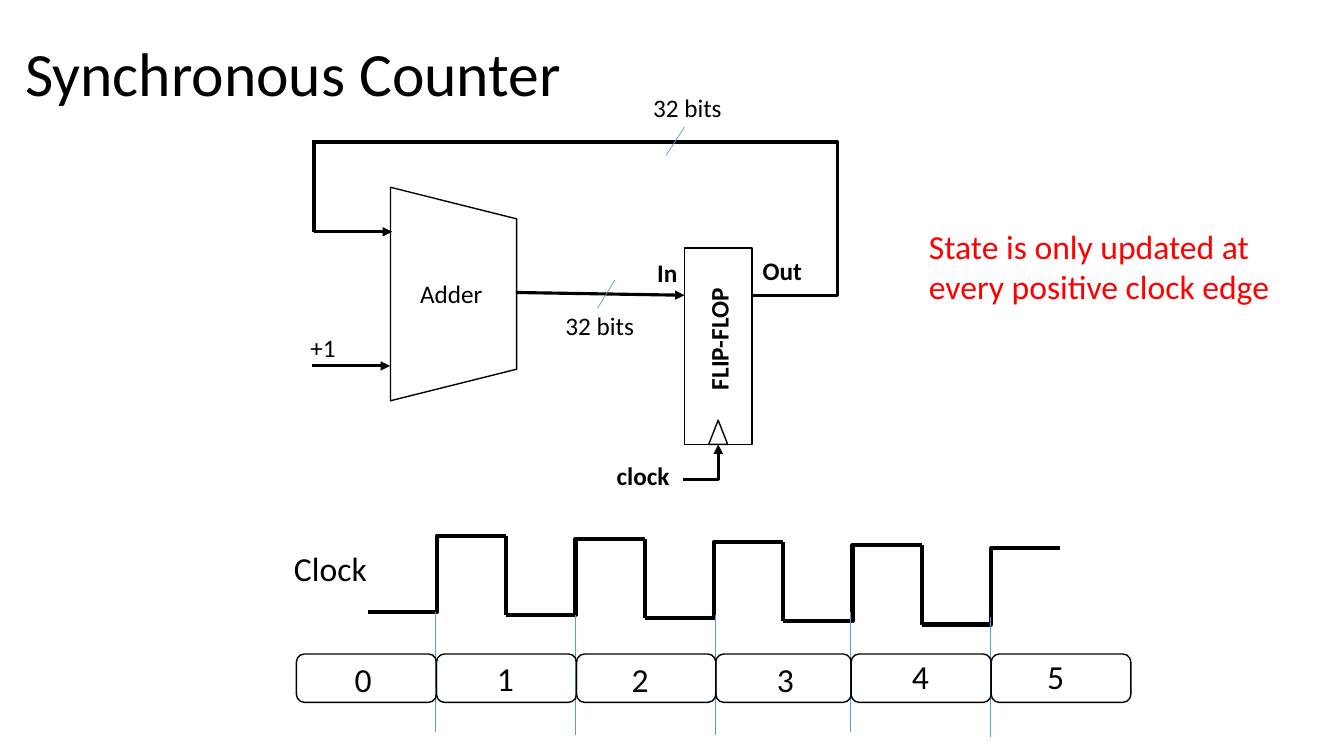
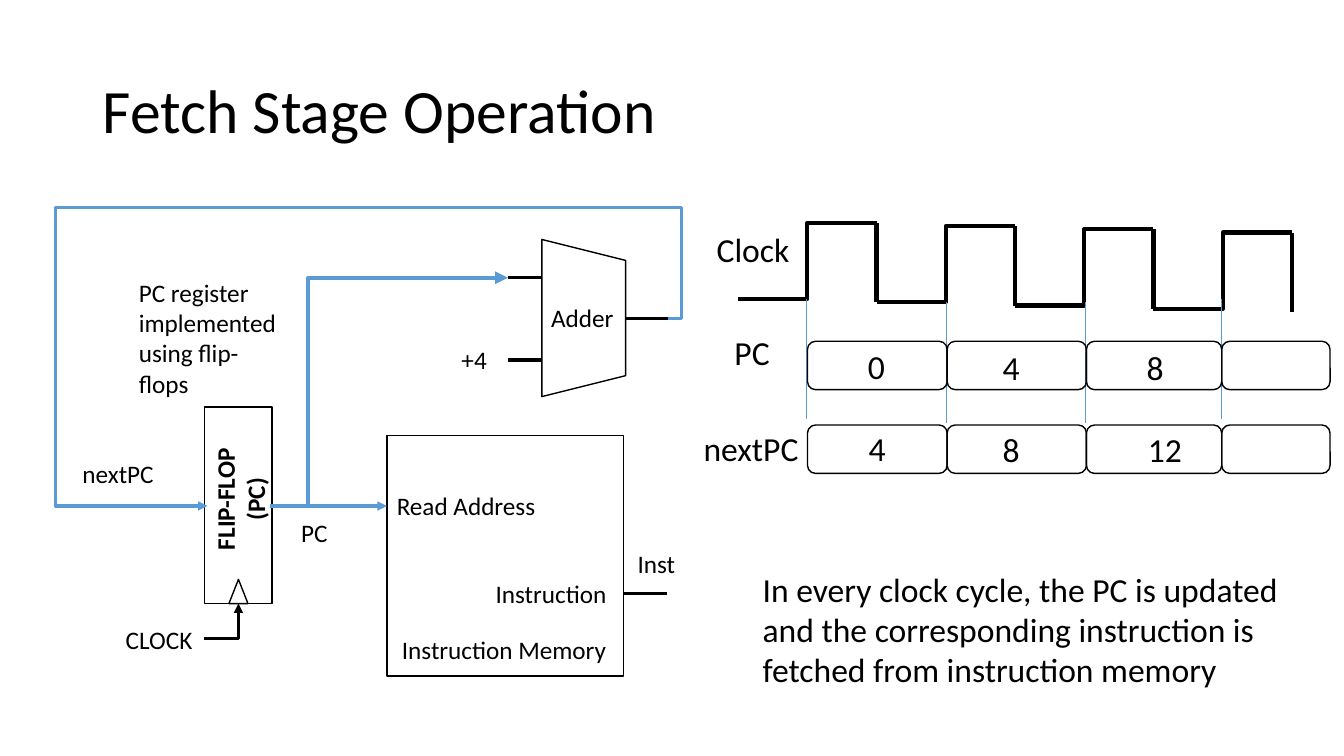
"""Build two slides on a synchronous counter and the fetch stage of a processor."""
from itertools import pairwise

from pptx import Presentation
from pptx.dml.color import RGBColor
from pptx.enum.shapes import MSO_CONNECTOR, MSO_SHAPE
from pptx.enum.text import MSO_ANCHOR, MSO_AUTO_SIZE, PP_ALIGN
from pptx.oxml.ns import qn
from pptx.util import Cm, Pt
from lxml.etree import SubElement

COLOURS = {"black": "000000", "blue": "5B9BD5", "red": "FF0000"}
FONT = "Calibri"
SMALL, LARGE, TITLE = 18, 24, 44
TEXT_HEIGHT = {SMALL: 1.03, LARGE: 1.28}
THIN, MEDIUM, THICK = 0.5, 2.25, 3
CLOCK_PERIOD, CLOCK_RISE, CLOCK_DRIFT = 3.49, 1.92, 0.08
MARKER_LENGTH, MARKER_SHIFT = 3.03, -0.02
MARKER_DROPS = (0, 0.08, 0.08, 0, 0.13)
CELL_HEIGHT = 1.22

SLIDES = [
    {
        "title": ("Synchronous Counter", 0.38, 0.1),
        "flip_flop": (17.25, 6.25),
        "flip_flop_label": (["FLIP-FLOP"], 16.56, 8.03, 3.12, 1.03),
        "adder": (8.74, 5.82, 5.38, 3.18),
        "boxes": [],
        "wires": [
            ((13, 7.37), (17.25, 7.44), "black", MEDIUM, "tailEnd", None),
            ((7.87, 9.22), (9.83, 9.22), "black", MEDIUM, "tailEnd", None),
            ((18.95, 7.44), (7.87, 3.58), "black", MEDIUM, None, 21.11),
            ((7.92, 5.84), (9.88, 5.84), "black", MEDIUM, "tailEnd", None),
            ((7.92, 3.58), (7.92, 5.84), "black", THICK, None, None),
            ((15.06, 7.77), (15.49, 7.06), "blue", THIN, None, None),
            ((16.79, 3.91), (17.25, 3.2), "blue", THIN, None, None),
        ],
        "clock": {"start": (9.27, 15.42), "rises": 5, "falls": 4},
        "cell_edges": (7.47, 11, 14.53, 18.04, 21.45, 24.98, 28.5),
        "row_tops": (16.48,),
        "marker_edges": slice(1, 6),
        "labels": [
            ("clock", 15.29, 11.48, 1.85, SMALL, True),
            ("In", 16.31, 6.35, 1.02, SMALL, True),
            ("Out", 18.97, 6.32, 1.5, SMALL, True),
            ("Adder", 10.34, 6.88, 2.11, SMALL, False),
            ("+1", 7.57, 8.26, 1.17, SMALL, False),
            ("32 bits", 16.21, 2.21, 2.26, SMALL, False),
            ("32 bits", 14, 7.7, 2.26, SMALL, False),
            ("Clock", 7.16, 13.67, 2.36, LARGE, False),
            ("0", 8.69, 16.48, 0.94, LARGE, False),
            ("1", 12.27, 16.46, 0.94, LARGE, False),
            ("2", 15.67, 16.48, 0.94, LARGE, False),
            ("3", 19.33, 16.48, 0.94, LARGE, False),
            ("4", 22.73, 16.41, 0.94, LARGE, False),
            ("5", 26.14, 16.41, 0.94, LARGE, False),
        ],
        "notes": [("State is only updated at every positive clock edge",
                   23.16, 5.56, 9.27, 2.31, LARGE, "red")],
    },
    {
        "title": ("Fetch Stage Operation", 2.34, 1.02),
        "flip_flop": (5.16, 10.26),
        "flip_flop_label": (["FLIP-FLOP", "(PC)"], 4.5, 11.68, 3.12, 1.8),
        "adder": (12.73, 6.96, 3.96, 2.11),
        "boxes": [(9.75, 10.97, 5.97, 6.07)],
        "wires": [
            ((15.72, 14.96), (16.81, 14.96), "black", MEDIUM, None, None),
            ((6.81, 12.75), (9.75, 12.75), "blue", MEDIUM, "tailEnd", None),
            ((15.75, 8.03), (16.89, 8.03), "black", MEDIUM, None, None),
            ((12.8, 7), (13.64, 7), "black", MEDIUM, None, None),
            ((12.8, 9.07), (13.64, 9.07), "black", MEDIUM, None, None),
            ((12.8, 7), (7.77, 12.75), "blue", THICK, "headEnd", 7.77),
            ((16.84, 8.03), (11.58, 5.23), "blue", MEDIUM, None, 17.17),
            ((11.58, 5.23), (5.23, 12.75), "blue", MEDIUM, "tailEnd", 1.4),
        ],
        "clock": {"start": (18.6, 7.54), "rises": 4, "falls": 4},
        "cell_edges": (20.35, 23.87, 27.38, 30.79, 33.52),
        "row_tops": (8.6, 10.71),
        "marker_edges": slice(0, 4),
        "labels": [
            ("Read Address", 9.75, 12.24, 4.04, SMALL, False),
            ("Instruction ", 12.24, 14.45, 3.48, SMALL, False),
            ("Instruction Memory", 9.88, 15.85, 5.72, SMALL, False),
            ("Adder", 13.64, 7.49, 2.11, SMALL, False),
            ("+4", 11.38, 8.56, 1.17, SMALL, False),
            ("CLOCK", 2.92, 15.6, 2.21, SMALL, False),
            ("PC", 7.34, 12.9, 1.19, SMALL, False),
            ("Inst", 15.82, 13.69, 1.47, SMALL, False),
            ("nextPC", 1.83, 11.43, 2.34, SMALL, False),
            ("Clock", 17.81, 5.64, 2.36, LARGE, False),
            ("PC", 18.26, 8.23, 1.4, LARGE, False),
            ("nextPC", 17.48, 10.67, 2.92, LARGE, False),
            ("0", 21.62, 8.59, 0.94, LARGE, False),
            ("4", 25.02, 8.61, 0.94, LARGE, False),
            ("8", 28.65, 8.61, 0.94, LARGE, False),
            ("4", 21.64, 10.67, 0.94, LARGE, False),
            ("8", 25.02, 10.69, 0.94, LARGE, False),
            ("12", 28.68, 10.69, 1.37, LARGE, False),
        ],
        "notes": [
            ("PC register implemented using flip-flops",
             3.25, 6.86, 4.22, 3.33, SMALL, "black"),
            ("In every clock cycle, the PC is updated and the corresponding "
             "instruction is fetched from instruction memory",
             18.97, 14.2, 13.74, 3.33, LARGE, "black"),
        ],
    },
]


def colour(name):
    return RGBColor.from_string(COLOURS[name])


def add_run(paragraph, text, size, colour_name="black", bold=False):
    run = paragraph.add_run()
    run.text = text
    run.font.name = FONT
    run.font.size = Pt(size)
    run.font.bold = bold
    run.font.color.rgb = colour(colour_name)


def add_title(slide, text, left, top):
    title = slide.shapes.title
    title.left, title.top = Cm(left), Cm(top)
    title.width, title.height = Cm(29.21), Cm(3.68)
    title.text_frame.vertical_anchor = MSO_ANCHOR.MIDDLE
    title.text_frame.word_wrap = True
    paragraph = title.text_frame.paragraphs[0]
    paragraph.alignment = PP_ALIGN.LEFT
    paragraph.line_spacing = 0.9
    add_run(paragraph, text, TITLE)


def add_text(slide, lines, left, top, width, height, size,
             colour_name="black", bold=False, wrap=False, alignment=PP_ALIGN.LEFT):
    box = slide.shapes.add_textbox(Cm(left), Cm(top), Cm(width), Cm(height))
    frame = box.text_frame
    frame.word_wrap = wrap
    frame.auto_size = MSO_AUTO_SIZE.SHAPE_TO_FIT_TEXT
    for index, line in enumerate(lines):
        paragraph = frame.add_paragraph() if index else frame.paragraphs[0]
        paragraph.alignment = alignment
        add_run(paragraph, line, size, colour_name, bold)
    return box


def add_outline(slide, kind, left, top, width, height, rotation=0):
    shape = slide.shapes.add_shape(kind, Cm(left), Cm(top), Cm(width), Cm(height))
    shape.rotation = rotation
    shape.shadow.inherit = False
    shape.fill.background()
    shape.line.color.rgb = colour("black")
    shape.line.width = Pt(1)


def add_wire(slide, start, end, colour_name="black", width=THICK, arrow=None, turn=None):
    kind = MSO_CONNECTOR.STRAIGHT if turn is None else MSO_CONNECTOR.ELBOW
    wire = slide.shapes.add_connector(kind, *map(Cm, start + end))
    wire.line.color.rgb = colour(colour_name)
    wire.line.width = Pt(width)
    properties = wire._element.spPr
    geometry = properties.find(qn("a:prstGeom"))
    if turn == end[0]:
        geometry.set("prst", "bentConnector2")
    elif turn is not None:
        share = round((turn - start[0]) / (end[0] - start[0]) * 100000)
        adjustments = geometry.find(qn("a:avLst"))
        SubElement(adjustments, qn("a:gd"), name="adj1", fmla=f"val {share}")
    if arrow:
        SubElement(properties.find(qn("a:ln")), qn(f"a:{arrow}"), type="triangle")
    SubElement(properties, qn("a:effectLst"))


def add_flip_flop(slide, left, top):
    add_outline(slide, MSO_SHAPE.RECTANGLE, left, top, 1.7, 4.95)
    add_outline(slide, MSO_SHAPE.ISOSCELES_TRIANGLE, left + 0.61, top + 4.34, 0.48, 0.61)
    pin = left + 0.85
    add_wire(slide, (left - 0.03, top + 5.84), (pin, top + 4.95),
             width=MEDIUM, arrow="tailEnd", turn=pin)


def add_clock(slide, start, rises, falls):
    for index in range(rises):
        left = start[0] + index * CLOCK_PERIOD
        low = start[1] + index * CLOCK_DRIFT
        right, high = left + CLOCK_PERIOD, low - CLOCK_RISE
        add_wire(slide, (left, low), (right, high), turn=left + CLOCK_PERIOD / 2)
        if index < falls:
            add_wire(slide, (right, high), (right, low + CLOCK_DRIFT))


def add_timing(slide, content):
    edges = content["cell_edges"]
    add_clock(slide, **content["clock"])
    for edge, drop in zip(edges[content["marker_edges"]], MARKER_DROPS):
        x, top = edge + MARKER_SHIFT, content["clock"]["start"][1] + drop
        add_wire(slide, (x, top), (x, top + MARKER_LENGTH), "blue", THIN)
    for top in content["row_tops"]:
        for left, right in pairwise(edges):
            add_outline(slide, MSO_SHAPE.ROUNDED_RECTANGLE, left, top, right - left, CELL_HEIGHT)


def build_slide(presentation, content):
    slide = presentation.slides.add_slide(presentation.slide_layouts[5])
    add_title(slide, *content["title"])
    for box in content["boxes"]:
        add_outline(slide, MSO_SHAPE.RECTANGLE, *box)
    add_outline(slide, MSO_SHAPE.TRAPEZOID, *content["adder"], rotation=90)
    add_flip_flop(slide, *content["flip_flop"])
    label = add_text(slide, *content["flip_flop_label"], SMALL,
                     bold=True, alignment=PP_ALIGN.CENTER)
    label.rotation = 270
    for wire in content["wires"]:
        add_wire(slide, *wire)
    add_timing(slide, content)
    for text, left, top, width, size, bold in content["labels"]:
        add_text(slide, [text], left, top, width, TEXT_HEIGHT[size], size, bold=bold)
    for text, *place, size, colour_name in content["notes"]:
        add_text(slide, [text], *place, size, colour_name, wrap=True)


presentation = Presentation()
presentation.slide_width, presentation.slide_height = Cm(33.87), Cm(19.05)
for content in SLIDES:
    build_slide(presentation, content)
presentation.save("out.pptx")
